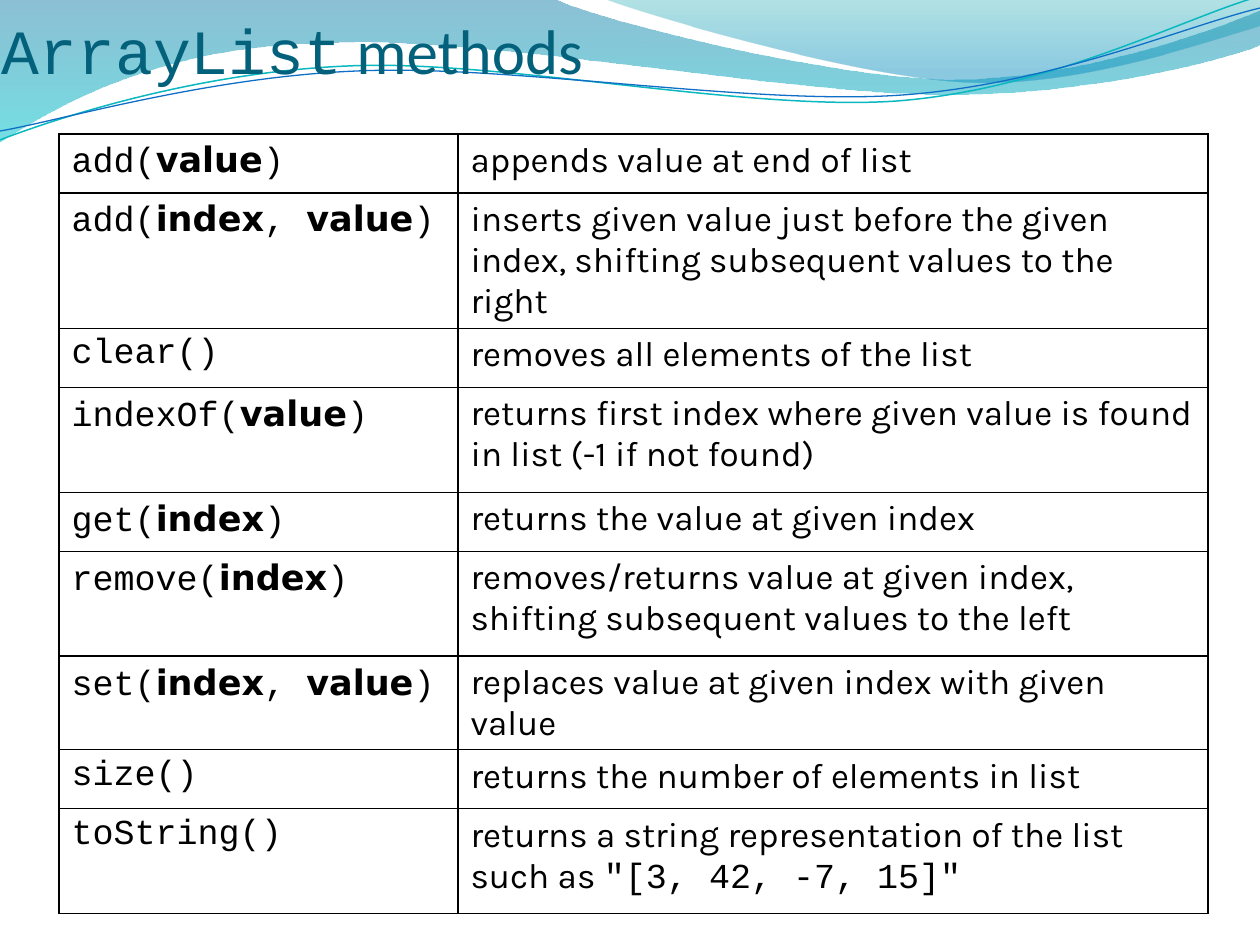
from math import cos, radians, sin

from lxml.etree import SubElement
from pptx import Presentation
from pptx.dml.color import RGBColor
from pptx.enum.text import MSO_ANCHOR as Anchor
from pptx.oxml import parse_xml
from pptx.oxml.ns import nsdecls, qn
from pptx.util import Emu, Pt

PIXEL = 914400 // 126
COLORS = {"title": "04617B", "text": "000000", "border": "000000",
          "deep": "0074A1", "aqua": "00C6CF", "teal": "00A1A9", "sky": "008BBF",
          "teal line": "0AB8BF", "blue line": "0F6FC6"}
CODE, ARGUMENT, BODY, HEADING = "Courier New", "DejaVu Sans", "Karla", "Calibri"
TILT = 2.7


def px(length):
    return Emu(round(length * PIXEL))


def rgb(name):
    return RGBColor.from_string(COLORS[name])


def turn(point, center):
    """Turn a point clockwise by the tilt around the center."""
    angle = radians(TILT)
    x, y = point[0] - center[0], point[1] - center[1]
    return (center[0] + x * cos(angle) - y * sin(angle),
            center[1] + x * sin(angle) + y * cos(angle))


class SlideBuilder:
    def __init__(self, slide):
        self.slide = slide

    def outline(self, start, segments, closed):
        """A segment of one point is a line, one of three points is a Bezier curve."""
        points = [(px(x), px(y)) for segment in segments for x, y in segment]
        builder = self.slide.shapes.build_freeform(px(start[0]), px(start[1]))
        builder.add_line_segments(points, close=closed)
        shape = builder.convert_to_shape()
        shape.shadow.inherit = False
        lines = iter(list(shape._element.iter(qn("a:lnTo"))))
        for segment in segments:
            steps = [next(lines) for _ in segment]
            if len(steps) == 3:
                curve = parse_xml(f'<a:cubicBezTo {nsdecls("a")}/>')
                steps[0].addprevious(curve)
                for step in steps:
                    curve.append(step[0])
                    step.getparent().remove(step)
        return shape

    def wave(self, start, segments, stops):
        shape = self.outline(start, segments, True)
        shape.line.fill.background()
        shape.fill.gradient()
        shape.fill.gradient_angle = 270
        for stop, (position, color, _) in zip(shape.fill.gradient_stops, stops):
            stop.position = position
            stop.color.rgb = rgb(color)
        colors = list(shape._element.spPr.iter(qn("a:srgbClr")))
        for element, (_, _, opacity) in zip(colors, stops):
            SubElement(element, qn("a:alpha")).set("val", str(opacity * 1000))

    def tilted_curve(self, start, segments, center, color, width):
        level = [[turn(point, center) for point in segment] for segment in segments]
        shape = self.outline(turn(start, center), level, False)
        shape.rotation = 360 - TILT
        shape.fill.background()
        shape.line.color.rgb = rgb(color)
        shape.line.width = Pt(width)

    def runs(self, paragraph, pieces, size, color):
        for text, font in pieces:
            run = paragraph.add_run()
            run.text = text
            run.font.name = font
            run.font.size = Pt(size)
            run.font.bold = font == ARGUMENT
            run.font.color.rgb = rgb(color)

    def title(self, box, pieces):
        frame = self.slide.shapes.add_textbox(*map(px, box)).text_frame
        frame.word_wrap = True
        frame.vertical_anchor = Anchor.BOTTOM
        frame.margin_left = frame.margin_right = frame.margin_bottom = 0
        frame.margin_top = px(6)
        self.runs(frame.paragraphs[0], pieces, 36, "title")

    def cell(self, cell, paragraphs):
        properties = cell._tc.get_or_add_tcPr()
        for index, side in enumerate("LRTB"):
            properties.insert(index, parse_xml(
                f'<a:ln{side} {nsdecls("a")} w="12700"><a:solidFill>'
                f'<a:srgbClr val="{COLORS["border"]}"/></a:solidFill></a:ln{side}>'))
        cell.fill.background()
        cell.margin_bottom = px(3)
        frame = cell.text_frame
        for index, pieces in enumerate(paragraphs):
            paragraph = frame.add_paragraph() if index else frame.paragraphs[0]
            self.runs(paragraph, pieces, 20, "text")

    def table(self, left, top, widths, heights, rows):
        table = self.slide.shapes.add_table(
            len(rows), len(widths), px(left), px(top),
            px(sum(widths)), px(sum(heights))).table
        table.first_row = table.horz_banding = False
        for column, width in zip(table.columns, widths):
            column.width = px(width)
        for row, height, contents in zip(table.rows, heights, rows):
            row.height = px(height)
            for cell, paragraphs in zip(row.cells, contents):
                self.cell(cell, paragraphs)


def signature(name, *arguments):
    pieces, lead = [], name + "("
    for argument in arguments:
        pieces += [(lead, CODE), (argument, ARGUMENT)]
        lead = ", "
    return pieces + [(")" if arguments else lead + ")", CODE)]


presentation = Presentation()
presentation.slide_width, presentation.slide_height = px(1260), px(945)
builder = SlideBuilder(presentation.slides.add_slide(presentation.slide_layouts[6]))

# Header waves
builder.wave((0, 0), [[(554, -1)],
                      [(600, 21), (837, 79), (955, 79)],
                      [(1075, 79), (1207, 33), (1260, 11)], [(1261, 45)],
                      [(1239, 55), (1096, 96), (940, 94)],
                      [(784, 94), (481, 35), (324, 43)],
                      [(163, 45), (58, 105), (-1, 142)]],
             [(0, "deep", 45), (1, "aqua", 55)])
builder.wave((604, -1), [[(641, 14), (859, 78), (969, 82)],
                         [(1079, 87), (1211, 40), (1260, 26)], [(1260, 0)]],
             [(0, "teal", 30), (0.8, "sky", 45)])

# Header lines
builder.tilted_curve((0, 140), [[(60, 117), (199, 72), (349, 66)],
                                [(498, 59), (747, 112), (898, 101)],
                                [(1050, 89), (1182, 19), (1257, -3)]],
                     (629, 72), "teal line", 0.85)
builder.tilted_curve((0, 131), [[(59, 121), (207, 77), (357, 71)],
                                [(508, 64), (752, 106), (903, 95)],
                                [(1053, 84), (1185, 26), (1260, 8)]],
                     (629, 74), "blue line", 0.75)

# Title
builder.title((2, 0, 1134, 87), [("ArrayList", CODE), (" methods ", HEADING)])

# Method table: signature, row height, description
SHORT, TALL = 59, 105
METHODS = [
    (("add", "value"), SHORT, "appends value at end of list"),
    (("add", "index", "value"), TALL, "inserts given value just before the given index, "
                                      "shifting subsequent values to the right"),
    (("clear",), SHORT, "removes all elements of the list"),
    (("indexOf", "value"), TALL, "returns first index where given value is found "
                                 "in list (-1 if not found)"),
    (("get", "index"), SHORT, "returns the value at given index"),
    (("remove", "index"), TALL, "removes/returns value at given index, "
                                "shifting subsequent values to the left"),
    (("set", "index", "value"), SHORT, "replaces value at given index with given value"),
    (("size",), SHORT, "returns the number of elements in list"),
    (("toString",), TALL, "returns a string representation of the list"),
]
rows = [[[signature(*call)], [[(description, BODY)]]] for call, _, description in METHODS]
rows[-1][1].append([("such as ", BODY), ('"[3, 42, -7, 15]"', CODE)])
builder.table(59, 134, (399, 750), [height for _, height, _ in METHODS], rows)

presentation.save("out.pptx")
